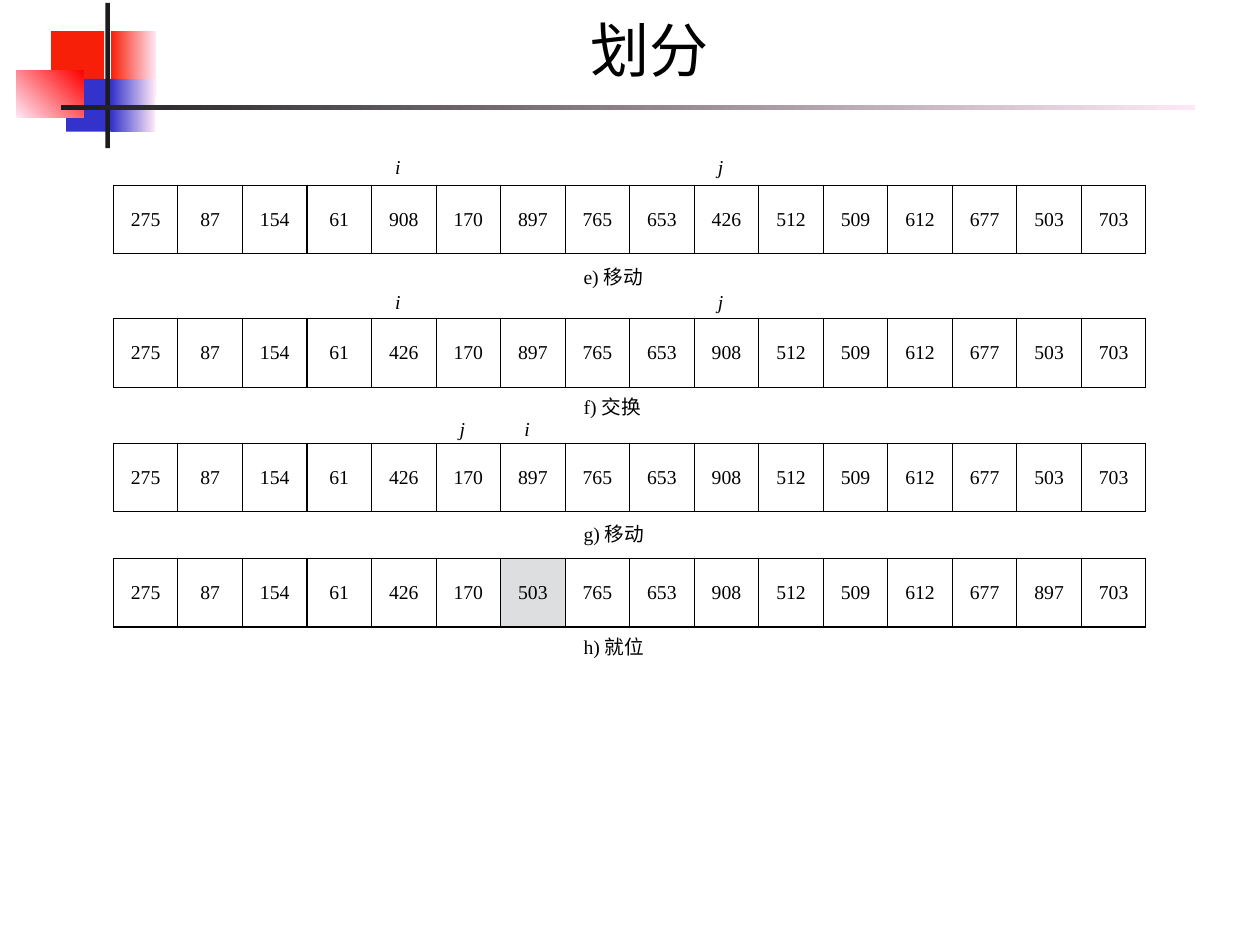
from lxml.etree import SubElement
from pptx import Presentation
from pptx.dml.color import RGBColor
from pptx.enum.shapes import MSO_SHAPE
from pptx.enum.text import MSO_ANCHOR, PP_ALIGN
from pptx.oxml.ns import qn
from pptx.util import Cm, Pt

BLACK = RGBColor(0x00, 0x00, 0x00)
CHARCOAL = RGBColor(0x1C, 0x1C, 0x1C)
RED = RGBColor(0xF8, 0x1F, 0x08)
BRIGHT_RED = RGBColor(0xFF, 0x00, 0x00)
BLUE = RGBColor(0x33, 0x33, 0xCC)
PALE_PINK = RGBColor(0xFE, 0xE8, 0xF7)
PLACED_GREY = RGBColor(0xDC, 0xDE, 0xE0)

# Array geometry in centimetres
ARRAY_LEFT, CELL_WIDTH, CELL_HEIGHT = 3.25, 1.85, 1.97
INDEX_OFFSET = 0.43
CAPTION_LEFT = 16.48

# Corner ornament: left, top, width, height, colours, gradient angle
ORNAMENT = [
    (3.18, 0.89, 1.3, 1.88, (RED, PALE_PINK), 0),
    (1.47, 0.89, 1.52, 1.52, (RED,), 0),
    (1.9, 2.26, 1.48, 1.52, (BLUE,), 0),
    (3.18, 2.26, 1.27, 1.52, (BLUE, PALE_PINK), 0),
    (0.46, 2.01, 1.93, 1.35, (PALE_PINK, BRIGHT_RED), 45),
    (3.02, 0.08, 0.13, 4.17, (CHARCOAL,), 0),
    (1.75, 3.02, 32.51, 0.13, (CHARCOAL, PALE_PINK), 0),
]

# Steps: array top, values, placed column, index top, index columns, caption top, caption
STEPS = [
    (5.31, "275 87 154 61 908 170 897 765 653 426 512 509 612 677 503 703",
     None, 4.11, {"i": 4, "j": 9}, 7.14, "e) 移动"),
    (9.13, "275 87 154 61 426 170 897 765 653 908 512 509 612 677 503 703",
     None, 7.98, {"i": 4, "j": 9}, 10.85, "f) 交换"),
    (12.71, "275 87 154 61 426 170 897 765 653 908 512 509 612 677 503 703",
     None, 11.61, {"i": 6, "j": 5}, 14.5, "g) 移动"),
    (16.01, "275 87 154 61 426 170 503 765 653 908 512 509 612 677 897 703",
     6, None, {}, 17.73, "h) 就位"),
]


def apply(target, values):
    for name, value in values.items():
        setattr(target, name, value)


class SlideBuilder:
    body = {"name": "Times New Roman", "size": Pt(16), "italic": False}
    index = {**body, "italic": True}
    heading = {"name": "Montserrat", "size": Pt(48)}
    margins = {f"margin_{side}": Cm(0.15) for side in ("left", "right", "top", "bottom")}

    def __init__(self, slide):
        self.slide = slide

    def set_text(self, paragraph, text, font):
        paragraph.text = text
        apply(paragraph.font, font)
        paragraph.font.color.rgb = BLACK

    def block(self, left, top, width, height, colours, angle):
        block = self.slide.shapes.add_shape(
            MSO_SHAPE.RECTANGLE, Cm(left), Cm(top), Cm(width), Cm(height))
        block.shadow.inherit = False
        block.line.fill.background()
        if len(colours) == 1:
            block.fill.solid()
            block.fill.fore_color.rgb = colours[0]
            return
        block.fill.gradient()
        block.fill.gradient_angle = angle
        for stop, colour in zip(block.fill.gradient_stops, colours):
            stop.color.rgb = colour

    def text(self, left, top, width, height, text, font, **frame_format):
        frame = self.slide.shapes.add_textbox(
            Cm(left), Cm(top), Cm(width), Cm(height)).text_frame
        apply(frame, {"word_wrap": True, **self.margins, **frame_format})
        self.set_text(frame.paragraphs[0], text, font)
        return frame.paragraphs[0]

    def label(self, left, top, width, height, text, font):
        self.text(left, top, width, height, text, font,
                  margin_left=Cm(0.25), vertical_anchor=MSO_ANCHOR.MIDDLE)

    def array(self, top, values, placed):
        table = self.slide.shapes.add_table(
            1, len(values), Cm(ARRAY_LEFT), Cm(top),
            Cm(CELL_WIDTH * len(values)), Cm(CELL_HEIGHT)).table
        apply(table, {"first_row": False, "horz_banding": False})
        for column, value in enumerate(values):
            table.columns[column].width = Cm(CELL_WIDTH)
            cell = table.cell(0, column)
            apply(cell, {"vertical_anchor": MSO_ANCHOR.MIDDLE, **self.margins})
            self.set_text(cell.text_frame.paragraphs[0], value, self.body)
            cell.text_frame.paragraphs[0].alignment = PP_ALIGN.CENTER
            self.border(cell)
            if column == placed:
                cell.fill.solid()
                cell.fill.fore_color.rgb = PLACED_GREY
            else:
                cell.fill.background()

    def border(self, cell):
        properties = cell._tc.get_or_add_tcPr()
        for side in ("a:lnL", "a:lnR", "a:lnT", "a:lnB"):
            line = SubElement(properties, qn(side), w=str(Pt(1)))
            fill = SubElement(line, qn("a:solidFill"))
            SubElement(fill, qn("a:srgbClr"), val=str(BLACK))


def main():
    presentation = Presentation()
    apply(presentation, {"slide_width": Cm(36.12), "slide_height": Cm(27.1)})
    builder = SlideBuilder(presentation.slides.add_slide(presentation.slide_layouts[6]))

    # Corner ornament and rule
    for block in ORNAMENT:
        builder.block(*block)

    # Title
    title = builder.text(3.38, 0.25, 30.5, 2.64, "划分", builder.heading)
    title.alignment = PP_ALIGN.CENTER

    # Partition steps
    for top, values, placed, index_top, indices, caption_top, caption in STEPS:
        builder.array(top, values.split(), placed)
        for index, column in indices.items():
            left = ARRAY_LEFT + column * CELL_WIDTH + INDEX_OFFSET
            builder.label(left, index_top, 0.9, 1.35, index, builder.index)
        builder.label(CAPTION_LEFT, caption_top, 3.3, 1.6, caption, builder.body)

    presentation.save("out.pptx")


if __name__ == "__main__":
    main()
